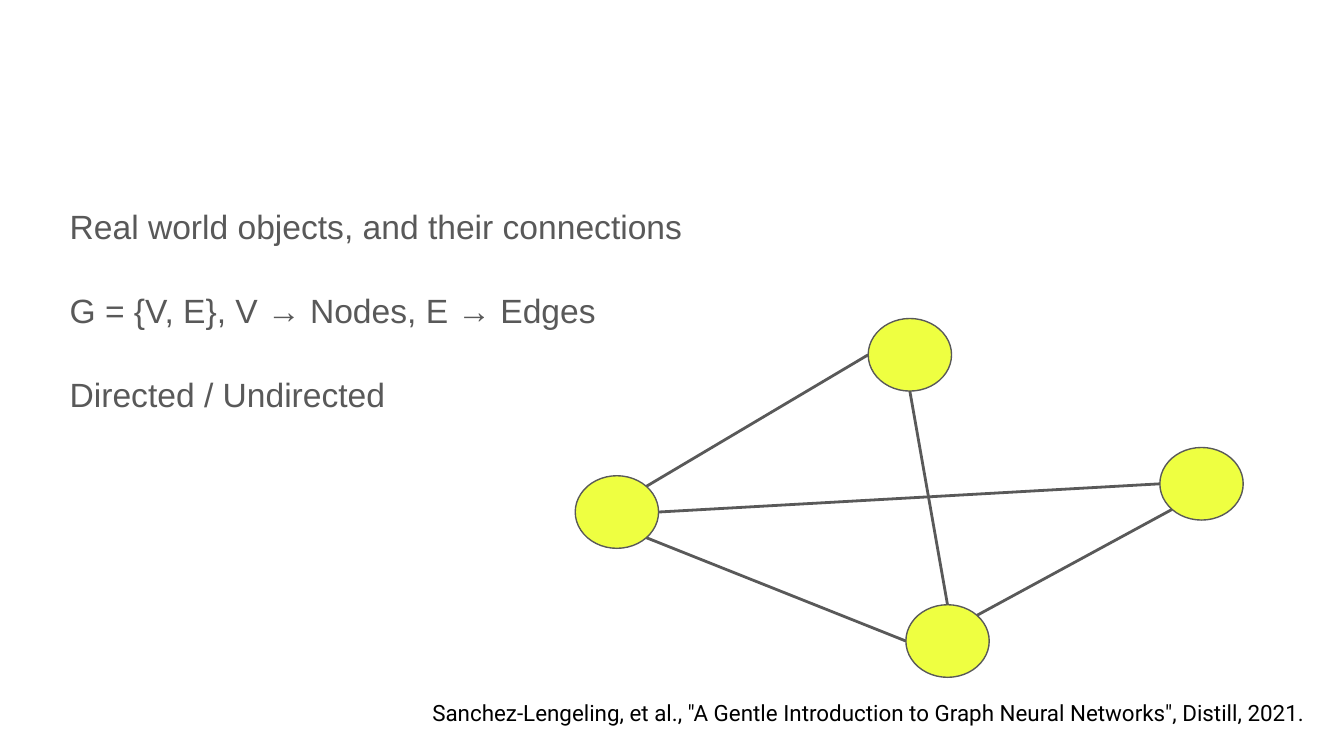
from math import cos, radians, sin

from lxml import etree
from pptx import Presentation
from pptx.dml.color import RGBColor
from pptx.enum.shapes import MSO_CONNECTOR, MSO_SHAPE
from pptx.enum.text import PP_ALIGN
from pptx.oxml.ns import qn
from pptx.util import Inches, Pt

STRAIGHT = MSO_CONNECTOR.STRAIGHT
OVAL = MSO_SHAPE.OVAL
RIGHT = PP_ALIGN.RIGHT

COLORS = {"grey": "595959", "node": "EEFF41", "black": "000000"}
NODE_W, NODE_H = 0.62, 0.54

POINTS = [
    "Real world objects, and their connections",
    "G = {V, E}, V → Nodes, E → Edges",
    "Directed / Undirected",
]
CITATION = ('Sanchez-Lengeling, et al., "A Gentle Introduction to '
            'Graph Neural Networks", Distill, 2021.')
NODES = {"left": (0, 1.17), "top": (2.18, 0), "bottom": (2.46, 2.13), "right": (4.35, 0.96)}
EDGES = [
    ("left", -45, "top", 180),
    ("left", 0, "right", 180),
    ("bottom", -90, "top", 90),
    ("bottom", -45, "right", 135),
    ("left", 45, "bottom", 180),
]


def color(name):
    """Return the named colour."""
    return RGBColor.from_string(COLORS[name])


def add_text(s, box, lines, font, size, fill, spacing, gap=0, inset=0.1):
    """Add a wrapped text box and return its text frame."""
    tf = s.shapes.add_textbox(*map(Inches, box)).text_frame
    tf.word_wrap = True
    tf.margin_left = tf.margin_right = Inches(0.1)
    tf.margin_top = tf.margin_bottom = Inches(inset)
    tf.text = "\n".join(lines)
    for i, p in enumerate(tf.paragraphs):
        p.line_spacing = spacing
        p.space_before = Pt(gap if i else 0)
        for r in p.runs:
            r.font.name = font
            r.font.size = Pt(size)
            r.font.color.rgb = color(fill)
    return tf


def add_points(s, box):
    """Place the main statements."""
    add_text(s, box, POINTS, "Arial", 18, "grey", 1.15, gap=20, inset=0.05)


def add_citation(s, box):
    """Place the right-aligned reference, indented on both sides."""
    tf = add_text(s, box, [CITATION], "Roboto", 12, "black", 1.32)
    p = tf.paragraphs[0]
    p.alignment = RIGHT
    for side in ("marL", "marR"):
        p._p.get_or_add_pPr().set(side, str(Inches(0.19)))


def rim_point(left, top, node, angle):
    """Return the point on a node's rim at a clockwise angle from the right."""
    x, y = NODES[node]
    a = radians(angle)
    return (Inches(left + x + NODE_W / 2 * (1 + cos(a))),
            Inches(top + y + NODE_H / 2 * (1 + sin(a))))


def add_graph(s, left, top):
    """Draw the nodes and the edges between their rims."""
    for x, y in NODES.values():
        sp = s.shapes.add_shape(OVAL, Inches(left + x), Inches(top + y),
                                Inches(NODE_W), Inches(NODE_H))
        sp.shadow.inherit = False
        sp.fill.solid()
        sp.fill.fore_color.rgb = color("node")
        sp.line.color.rgb = color("grey")
        sp.line.width = Pt(0.75)
    for start, start_angle, end, end_angle in EDGES:
        edge = s.shapes.add_connector(STRAIGHT,
                                      *rim_point(left, top, start, start_angle),
                                      *rim_point(left, top, end, end_angle))
        edge.line.color.rgb = color("grey")
        edge.line.width = Pt(1.5)
        etree.SubElement(edge._element.spPr, qn("a:effectLst"))


def main():
    """Build and save the 16:9 slide."""
    prs = Presentation()
    prs.slide_width, prs.slide_height = Inches(10), Inches(10 * 9 / 16)
    s = prs.slides.add_slide(prs.slide_layouts[6])
    add_points(s, (0.42, 1.44, 9.25, 3.81))
    add_citation(s, (2.47, 5.04, 7.53, 0.4))
    add_graph(s, 4.28, 2.37)
    prs.save("out.pptx")


if __name__ == "__main__":
    main()
